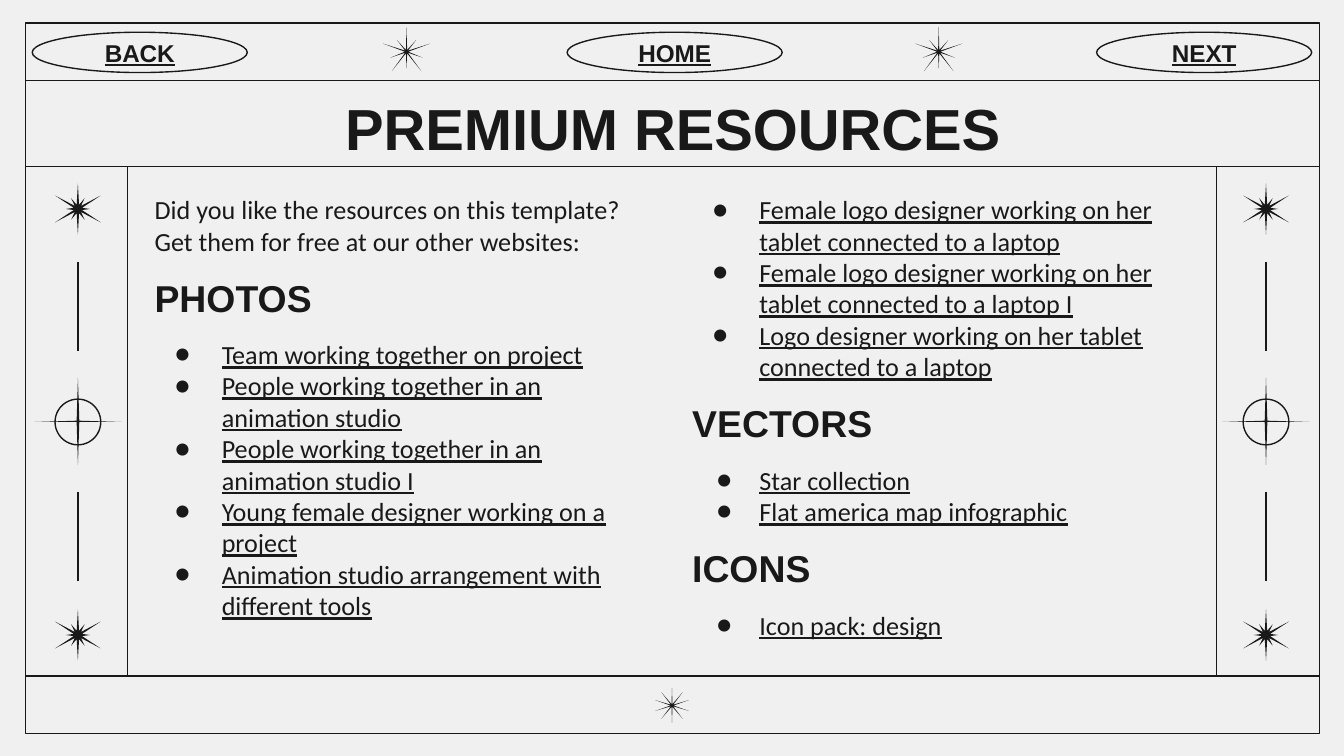
from math import hypot

from lxml.etree import SubElement
from pptx import Presentation
from pptx.dml.color import RGBColor
from pptx.enum.shapes import MSO_CONNECTOR, MSO_SHAPE
from pptx.enum.text import MSO_ANCHOR, MSO_AUTO_SIZE, PP_ALIGN
from pptx.oxml.ns import qn
from pptx.util import Pt

PX = 9144  # 100 px to the inch
COLORS = {"ink": "191919", "paper": "F0F0F0"}
INK = RGBColor.from_string(COLORS["ink"])

prs = Presentation()
prs.slide_width = 1000 * PX
prs.slide_height = prs.slide_width * 9 // 16
s = prs.slides.add_slide(prs.slide_layouts[3])
s.background.fill.solid()
s.background.fill.fore_color.rgb = RGBColor.from_string(COLORS["paper"])


def write(tf, text, font="Calibri", size=14, bold=False, underline=False,
          align=PP_ALIGN.LEFT, before=0, hang=None):
    """Add a paragraph to tf; hang is the bullet's outdent in px, None for no bullet."""
    p = tf.paragraphs[0] if not tf.text else tf.add_paragraph()
    p.alignment, p.line_spacing = align, 1.0
    p.space_before, p.space_after = Pt(before), Pt(0)
    pPr = p._p.get_or_add_pPr()
    pPr.set("marL", str(50 * PX if hang else 0))
    pPr.set("indent", str(-hang * PX if hang else 0))
    if hang:
        clr = SubElement(pPr, qn("a:buClr"))
        SubElement(clr, qn("a:srgbClr"), val=COLORS["ink"])
        SubElement(pPr, qn("a:buFont"), typeface=font)
        SubElement(pPr, qn("a:buChar"), char="●")
    else:
        SubElement(pPr, qn("a:buNone"))
    r = p.add_run()
    r.text = text
    r.font.name, r.font.size = font, Pt(size)
    r.font.bold, r.font.underline = bold, underline
    r.font.color.rgb = INK


def add_polygon(cx, cy, points):
    """Draw a filled outline whose points are px offsets from its centre."""
    pts = [(round((cx + x) * PX), round((cy + y) * PX)) for x, y in points]
    builder = s.shapes.build_freeform(*pts[0])
    builder.add_line_segments(pts[1:], close=True)
    sp = builder.convert_to_shape()
    sp.shadow.inherit = False
    sp.fill.solid()
    sp.fill.fore_color.rgb = INK
    sp.line.fill.background()


# Frame, circles and navigation buttons
outlines = [(MSO_SHAPE.RECTANGLE, 19, 17, 963, 529, "")]
outlines += [(MSO_SHAPE.OVAL, x - 17, 297, 34, 34, "") for x in (58, 942)]
outlines += [(MSO_SHAPE.OVAL, x, 24, 160, 30, label)
             for x, label in ((24, "BACK"), (422, "HOME"), (816, "NEXT"))]
for kind, x, y, w, h, label in outlines:
    sp = s.shapes.add_shape(kind, x * PX, y * PX, w * PX, h * PX)
    sp.shadow.inherit = False
    sp.fill.background()
    sp.line.color.rgb = INK
    sp.line.width = Pt(0.75)
    if label:
        tf = sp.text_frame
        tf.vertical_anchor = MSO_ANCHOR.MIDDLE
        tf.margin_left = tf.margin_right = tf.margin_top = tf.margin_bottom = 10 * PX
        write(tf, label, font="Arial", size=13, bold=True, underline=True,
              align=PP_ALIGN.CENTER)

# Rules across the frame, beside the text and between the ornaments
rules = [(19, y, 982, y) for y in (60, 124, 503)]
rules += [(x, 124, x, 503) for x in (95, 905)]
rules += [(x, y, x, y + 66) for x in (58, 942) for y in (195, 366)]
for x1, y1, x2, y2 in rules:
    line = s.shapes.add_connector(MSO_CONNECTOR.STRAIGHT, x1 * PX, y1 * PX, x2 * PX, y2 * PX)
    line.line.color.rgb = INK
    line.line.width = Pt(0.75)
    SubElement(line._element.spPr, qn("a:effectLst"))

# Stars: left-hand tips from top to bottom, valley radius, centres
stars = [
    ([(0, -19), (-5, -8), (-17, -10), (-9, 0), (-17, 10), (-5, 8), (0, 19)], 3.2,
     [(x, y) for x in (58, 942) for y in (155.5, 472.5)]),
    ([(0, -18.5), (-7, -8.5), (-17.5, -6), (-12, 4.5), (-11, 14.5), (0, 12.5)], 1.3,
     [(302.5, 38.5), (698.5, 38.5)]),
    ([(0, -13), (-8, -10), (-12.5, -4), (-12.5, 4), (-8, 10), (0, 13)], 1.1,
     [(500, 525)]),
]
for half, radius, centres in stars:
    tips = half + [(-x, y) for x, y in half[-2:0:-1]]
    outline = []
    for a, b in zip(tips, tips[1:] + tips[:1]):
        mx = a[0] / hypot(*a) + b[0] / hypot(*b)
        my = a[1] / hypot(*a) + b[1] / hypot(*b)
        k = radius / hypot(mx, my)
        outline += [a, (mx * k, my * k)]
    for cx, cy in centres:
        add_polygon(cx, cy, outline)

# Crosshair needles
for cx in (58, 942):
    add_polygon(cx, 313.5, [(0, -32.5), (-1, 0), (0, 32.5), (1, 0)])
    add_polygon(cx, 313.5, [(0, -0.5), (-32.5, 0.5), (32.5, 0.5)])

# Title and the two text columns
title, left, right = s.placeholders
for ph, x, y, w, h, anchor in ((title, 79, 60, 843, 69, MSO_ANCHOR.MIDDLE),
                               (left, 105, 134, 390, 356, MSO_ANCHOR.TOP),
                               (right, 505, 134, 390, 356, MSO_ANCHOR.TOP)):
    ph.left, ph.top, ph.width, ph.height = x * PX, y * PX, w * PX, h * PX
    tf = ph.text_frame
    tf.word_wrap, tf.auto_size, tf.vertical_anchor = True, MSO_AUTO_SIZE.NONE, anchor
    tf.margin_left = tf.margin_right = tf.margin_top = tf.margin_bottom = 10 * PX

write(title.text_frame, "PREMIUM RESOURCES", font="Arial", size=31, bold=True,
      align=PP_ALIGN.CENTER)
write(left.text_frame, "Did you like the resources on this template? "
      "Get them for free at our other websites:")

sections = [
    (left, "PHOTOS", 35, ["Team working together on project",
                          "People working together in an animation studio",
                          "People working together in an animation studio I",
                          "Young female designer working on a project",
                          "Animation studio arrangement with different tools"]),
    (right, "", 35, ["Female logo designer working on her tablet connected to a laptop",
                     "Female logo designer working on her tablet connected to a laptop I",
                     "Logo designer working on her tablet connected to a laptop"]),
    (right, "VECTORS", 32, ["Star collection", "Flat america map infographic"]),
    (right, "ICONS", 32, ["Icon pack: design"]),
]
for ph, heading, hang, items in sections:
    tf = ph.text_frame
    if heading:
        write(tf, heading, font="Arial", size=20, bold=True, before=10)
    for i, item in enumerate(items):
        write(tf, item, underline=True, hang=hang, before=10 if heading and i == 0 else 0)

prs.save("out.pptx")
